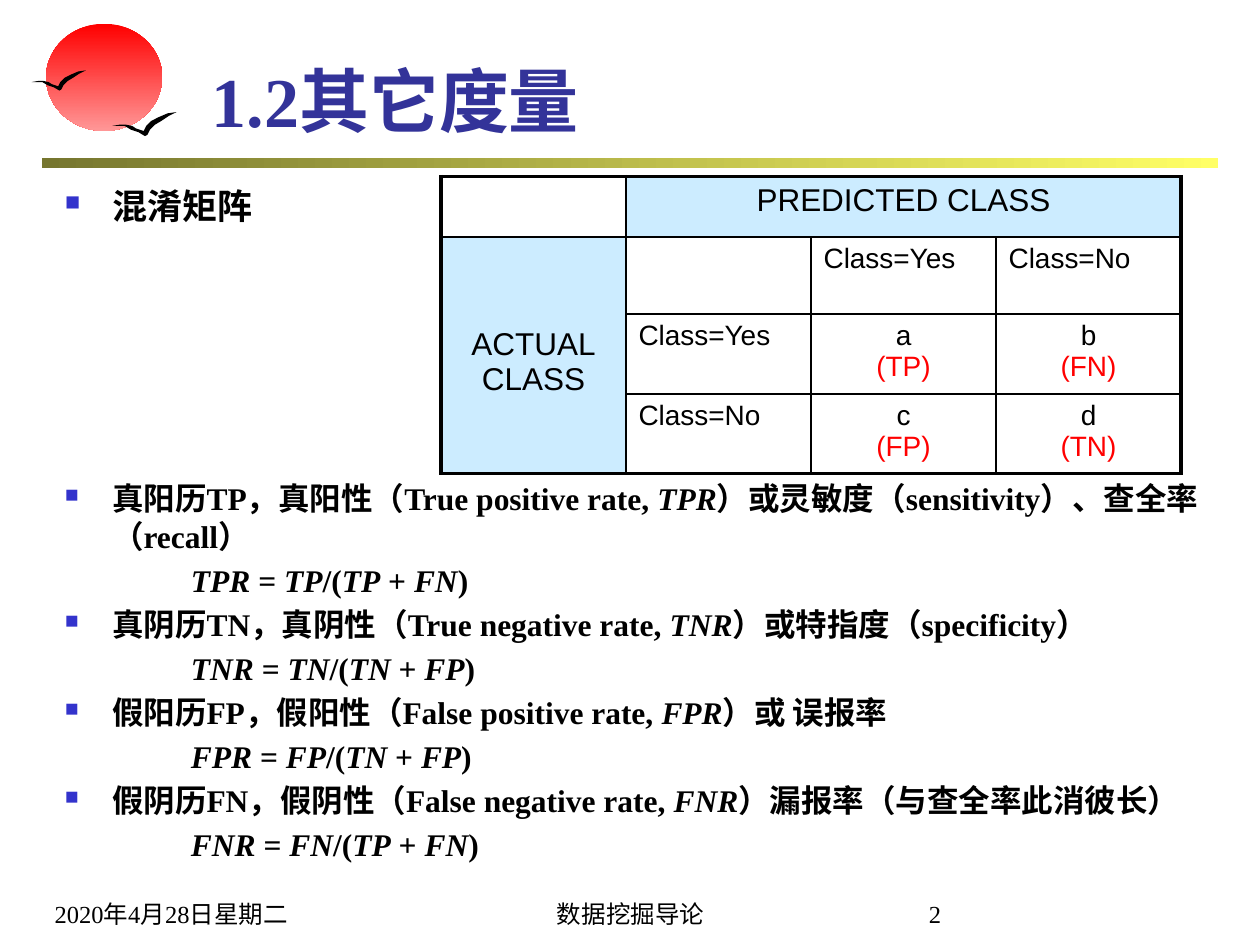
"""Build a slide on confusion-matrix measures with their definitions and formulas."""
from lxml import etree
from pptx import Presentation
from pptx.dml.color import RGBColor
from pptx.enum.shapes import MSO_SHAPE
from pptx.enum.text import MSO_ANCHOR, PP_ALIGN
from pptx.oxml.ns import qn
from pptx.util import Cm, Pt

COLORS = {
    "black": "000000", "white": "FFFFFF", "red": "FF0000", "pink": "FF9797",
    "title": "333399", "bullet": "3333CC", "header": "CCECFF",
    "olive": "76762F", "yellow": "FFFF66",
}
SERIF, SANS = "Times New Roman", "Arial"

TITLE = "1.2其它度量"
TOPIC = "混淆矩阵"
MEASURES = [
    ("真阳历TP，真阳性（True positive rate, *TPR*）或灵敏度（sensitivity）、查全率（recall）",
     "*TPR* = *TP*/(*TP* + *FN*)"),
    ("真阴历TN，真阴性（True negative rate, *TNR*）或特指度（specificity）",
     "*TNR* = *TN*/(*TN* + *FP*)"),
    ("假阳历FP，假阳性（False positive rate, *FPR*）或 误报率",
     "*FPR* = *FP*/(*TN* + *FP*)"),
    ("假阴历FN，假阴性（False negative rate, *FNR*）漏报率（与查全率此消彼长）",
     "*FNR* = *FN*/(*TP* + *FN*)"),
]
CLASSES = ["Class=Yes", "Class=No"]
OUTCOMES = [[("a", "(TP)"), ("b", "(FN)")], [("c", "(FP)"), ("d", "(TN)")]]
FOOTERS = [
    ("2020年4月28日星期二", 0.85, 6.99, PP_ALIGN.LEFT),
    ("数据挖掘导论", 8.69, 8.05, PP_ALIGN.CENTER),
    ("2", 17.58, 2.54, PP_ALIGN.CENTER),
]
DECORATIONS = [
    (MSO_SHAPE.RECTANGLE, (0.85, 3.18, 23.71, 0.21), ("olive", "yellow"), 0),
    (MSO_SHAPE.OVAL, (0.93, 0.48, 2.34, 2.16), ("red", "pink"), 270),
]
BIRDS = [(0.64, 1.42, 1.09), (2.26, 2.26, 1.3)]
BIRD_SPAN = 51
BIRD_OUTLINE = [
    (0, 11), (6, 10), (11, 10), (16, 11), (19, 13), (25, 15), (27, 11),
    (31, 7), (37, 4), (44, 1), (51, 0), (45, 3), (39, 7), (34, 10), (30, 14),
    (28, 18), (26, 19), (21, 16), (15, 14), (10, 11), (5, 11),
]


def rgb(name):
    return RGBColor.from_string(COLORS[name])


def write(frame, text, size=18, color="black", font=SERIF, bold=False,
          align=PP_ALIGN.LEFT, before=0, indent=0, bullet=False):
    """Append a paragraph in which asterisks enclose italic words."""
    paragraph = frame.paragraphs[0]
    if paragraph.runs:
        paragraph = frame.add_paragraph()
    paragraph.alignment = align
    paragraph.space_before = Pt(before)
    properties = paragraph._p.get_or_add_pPr()
    properties.set("marL", str(Cm(indent)))
    if bullet:
        properties.set("indent", str(-Cm(indent)))
        tint = etree.SubElement(properties, qn("a:buClr"))
        etree.SubElement(tint, qn("a:srgbClr"), val=COLORS["bullet"])
        etree.SubElement(properties, qn("a:buSzPct"), val="60000")
        etree.SubElement(properties, qn("a:buChar"), char="■")
    for order, words in enumerate(text.split("*")):
        if words:
            run = paragraph.add_run()
            run.text = words
            run.font.size = Pt(size)
            run.font.name = font
            run.font.bold = bold
            run.font.italic = order % 2 == 1
            run.font.color.rgb = rgb(color)


def add_frame(slide, left, top, width, height, anchor=MSO_ANCHOR.TOP):
    frame = slide.shapes.add_textbox(Cm(left), Cm(top), Cm(width), Cm(height)).text_frame
    frame.word_wrap = True
    frame.vertical_anchor = anchor
    return frame


def add_decorations(slide):
    for preset, place, tints, angle in DECORATIONS:
        shape = slide.shapes.add_shape(preset, *map(Cm, place))
        shape.shadow.inherit = False
        shape.line.fill.background()
        shape.fill.gradient()
        shape.fill.gradient_angle = angle
        for stop, tint in zip(shape.fill.gradient_stops, tints):
            stop.color.rgb = rgb(tint)
    for left, top, width in BIRDS:
        outline = slide.shapes.build_freeform(*BIRD_OUTLINE[0], scale=Cm(width) / BIRD_SPAN)
        outline.add_line_segments(BIRD_OUTLINE[1:], close=True)
        bird = outline.convert_to_shape(Cm(left), Cm(top))
        bird.shadow.inherit = False
        bird.fill.solid()
        bird.fill.fore_color.rgb = rgb("black")
        bird.line.fill.background()


def add_borders(cell, row, column, last):
    bottom = row + cell.span_height - 1 if cell.is_merge_origin else row
    right = column + cell.span_width - 1 if cell.is_merge_origin else column
    outer = {"L": column == 0, "R": right == last, "T": row == 0, "B": bottom == last}
    for side, is_outer in outer.items():
        if is_outer or not cell.is_spanned:
            line = etree.SubElement(cell._tc.get_or_add_tcPr(), qn("a:ln" + side),
                                    w=str(Pt(2.25 if is_outer else 1)))
            paint = etree.SubElement(line, qn("a:solidFill"))
            etree.SubElement(paint, qn("a:srgbClr"), val=COLORS["black"])


def add_matrix(slide):
    size = 4
    matrix = slide.shapes.add_table(size, size, Cm(8.89), Cm(3.56), Cm(14.92), Cm(5.87)).table
    for column in matrix.columns:
        column.width = Cm(3.73)
    for index, row in enumerate(matrix.rows):
        row.height = Cm(1.55 if index else 1.22)
    predicted, actual = matrix.cell(0, 1), matrix.cell(1, 0)
    predicted.merge(matrix.cell(0, 3))
    actual.merge(matrix.cell(3, 0))
    for row in range(size):
        for column in range(size):
            cell = matrix.cell(row, column)
            add_borders(cell, row, column, size - 1)
            cell.fill.solid()
            cell.fill.fore_color.rgb = rgb("header" if (row == 0) != (column == 0) else "white")
    centred = {"font": SANS, "align": PP_ALIGN.CENTER}
    write(predicted.text_frame, "PREDICTED CLASS", **centred)
    actual.vertical_anchor = MSO_ANCHOR.MIDDLE
    actual.margin_top = Cm(0.4)
    for word in ("ACTUAL", "CLASS"):
        write(actual.text_frame, word, **centred)
    for i, label in enumerate(CLASSES):
        for place in ((1, i + 2), (i + 2, 1)):
            write(matrix.cell(*place).text_frame, label, size=16, font=SANS)
        for j, (letter, outcome) in enumerate(OUTCOMES[i]):
            frame = matrix.cell(i + 2, j + 2).text_frame
            write(frame, letter, size=16, **centred)
            write(frame, outcome, size=16, color="red", **centred)


def main():
    deck = Presentation()
    deck.slide_width, deck.slide_height = Cm(25.4), Cm(19.05)
    slide = deck.slides.add_slide(deck.slide_layouts[6])
    add_decorations(slide)
    for text, left, width, align in FOOTERS:
        footer = add_frame(slide, left, 17.58, width, 1.27, MSO_ANCHOR.BOTTOM)
        write(footer, text, size=14, align=align)
    title = add_frame(slide, 4.02, 0.85, 20.53, 2.12, MSO_ANCHOR.BOTTOM)
    write(title, TITLE, size=40, color="title", bold=True)
    topic = add_frame(slide, 1.06, 3.6, 7.5, 1.1)
    write(topic, TOPIC, size=20, bold=True, indent=0.95, bullet=True)
    measures = add_frame(slide, 1.06, 9.53, 24.34, 8)
    for definition, formula in MEASURES:
        write(measures, definition, bold=True, before=3.6, indent=0.95, bullet=True)
        write(measures, formula, bold=True, before=3.6, indent=2.54)
    add_matrix(slide)
    deck.save("out.pptx")


if __name__ == "__main__":
    main()
